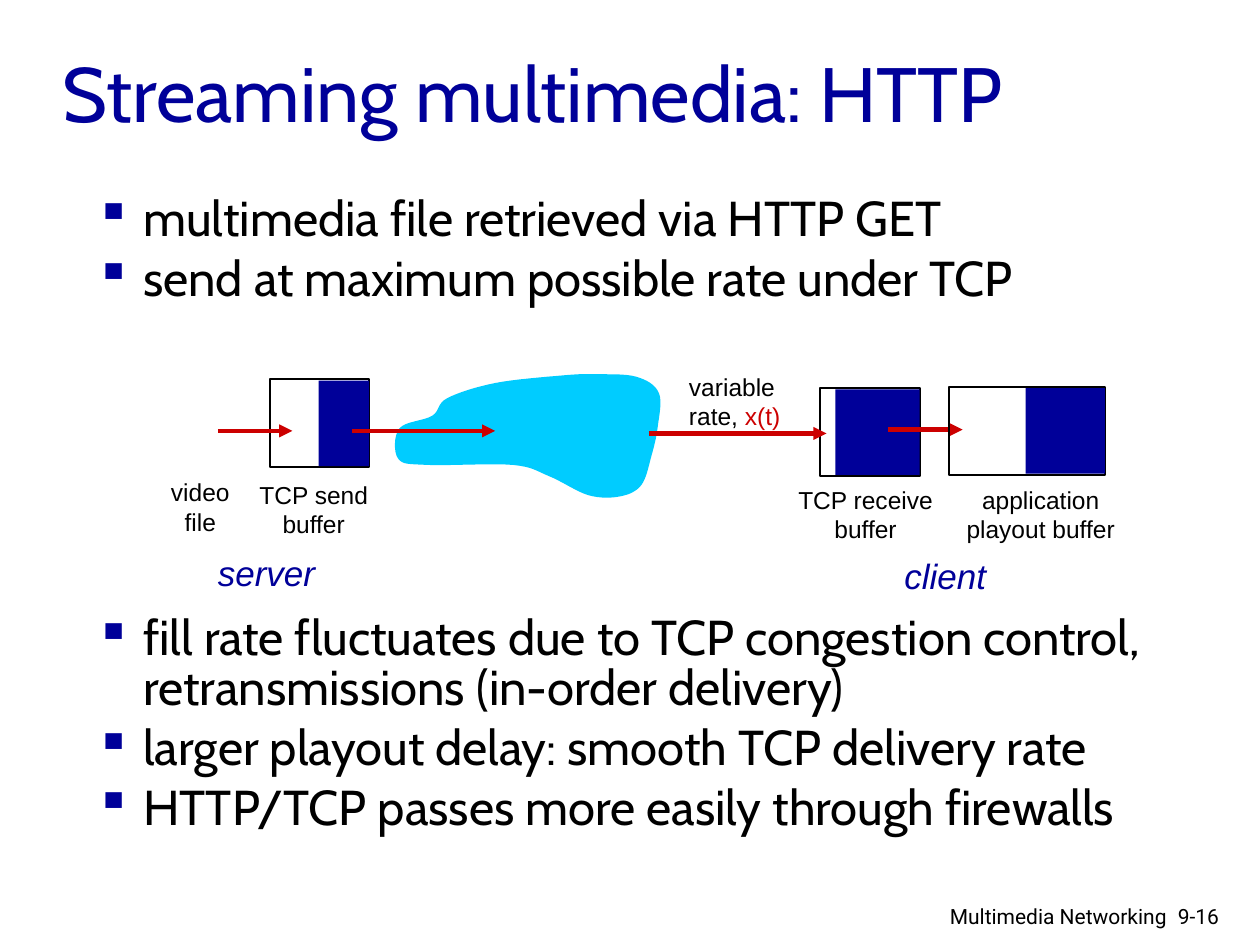
"""Build a slide on streaming multimedia over HTTP."""
from lxml.etree import SubElement as Sub
from pptx import Presentation
from pptx.dml.color import RGBColor
from pptx.enum.shapes import MSO_CONNECTOR as Conn, MSO_SHAPE as Shape
from pptx.enum.text import MSO_ANCHOR as Anchor, PP_ALIGN as Align
from pptx.oxml.ns import qn
from pptx.util import Inches, Pt

NAVY = RGBColor(0x00, 0x00, 0x99)
RED = RGBColor(0xCC, 0x00, 0x00)
SKY = RGBColor(0x00, 0xCC, 0xFF)
BLACK = RGBColor(0x00, 0x00, 0x00)

TITLE = {"name": "Cabin", "size": Pt(44)}
BODY = {"name": "Cabin", "size": Pt(28)}
LABEL = {"name": "Arial", "size": Pt(14)}
ROLE = {"name": "Arial", "size": Pt(20), "italic": True}
FOOT = {"name": "Roboto", "size": Pt(12)}

TOP = ["multimedia file retrieved via HTTP GET",
       "send at maximum possible rate under TCP"]
LOW = ["fill rate fluctuates due to TCP congestion control, "
       "retransmissions (in-order delivery)",
       "larger playout delay: smooth TCP delivery rate",
       "HTTP/TCP passes more easily through firewalls"]
NOTES = [(["video", "file"], 0.94, 3.74, 1.3),
         (["TCP send buffer"], 1.84, 3.76, 1.3),
         (["TCP receive buffer"], 6.22, 3.8, 1.3),
         (["application playout buffer"], 7.49, 3.8, 1.54)]
FLOWS = [(1.73, 2.32, 3.42), (2.79, 3.93, 3.42),
         (5.15, 6.56, 3.44), (7.05, 7.64, 3.41)]
CLOUD = [(4.46, 2.98), (3.93, 3.04), (3.55, 3.16), (3.43, 3.3), (3.17, 3.4),
         (3.16, 3.64), (3.39, 3.69), (4.07, 3.69), (4.36, 3.78),
         (4.67, 3.93), (4.92, 3.94), (5.09, 3.85), (5.17, 3.62),
         (5.22, 3.39), (5.23, 3.12), (5.05, 2.99), (4.72, 2.97)]


def add_run(para, text, form, color):
    """Add a run with the given font values."""
    run = para.add_run()
    run.text = text
    for key, val in form.items():
        setattr(run.font, key, val)
    run.font.color.rgb = color


def add_text(slide, lines, at, form, color=BLACK, align=Align.LEFT, wrap=True):
    """Add a text box with one paragraph per line and return its frame."""
    frame = slide.shapes.add_textbox(*map(Inches, at)).text_frame
    frame.word_wrap = wrap
    for num, line in enumerate(lines):
        para = frame.add_paragraph() if num else frame.paragraphs[0]
        para.alignment = align
        add_run(para, line, form, color)
    return frame


def add_list(slide, lines, at):
    """Add a list with square navy bullets."""
    frame = add_text(slide, lines, at, BODY)
    for num, para in enumerate(frame.paragraphs):
        para.line_spacing = 0.85
        para.space_before = Pt(5.6 if num else 0)
        props = para._p.get_or_add_pPr()
        props.set("marL", str(Inches(0.38)))
        props.set("indent", str(Inches(-0.38)))
        tint = Sub(props, qn("a:buClr"))
        Sub(tint, qn("a:srgbClr"), val=str(NAVY))
        Sub(props, qn("a:buChar"), char="▪")


def add_rect(slide, *at):
    """Add a plain rectangle without shadow."""
    rect = slide.shapes.add_shape(Shape.RECTANGLE, *map(Inches, at))
    rect.shadow.inherit = False
    return rect


def add_buffer(slide, left, top, width, fill):
    """Add a framed buffer whose right part is filled."""
    frame = add_rect(slide, left, top, width, 0.7)
    frame.fill.background()
    frame.line.color.rgb = BLACK
    frame.line.width = Pt(1.25)
    data = add_rect(slide, left + width - fill, top + 0.01, fill, 0.68)
    data.fill.solid()
    data.fill.fore_color.rgb = NAVY
    data.line.fill.background()


def add_flow(slide, start, end, y):
    """Add a level red arrow."""
    flow = slide.shapes.add_connector(
        Conn.STRAIGHT, *map(Inches, (start, y, end, y)))
    flow.line.color.rgb = RED
    flow.line.width = Pt(2.5)
    Sub(flow.line._get_or_add_ln(), qn("a:tailEnd"), type="triangle")
    Sub(flow._element.spPr, qn("a:effectLst"))


def trace(knots, steps=8):
    """Return points on a closed smooth curve through the knots."""
    points = []
    for num in range(len(knots)):
        quad = [knots[(num + off) % len(knots)] for off in (-1, 0, 1, 2)]
        for step in range(steps):
            t = step / steps
            points.append(tuple(
                Inches(b + t * (c - a) / 2
                       + t * t * (2 * a - 5 * b + 4 * c - d) / 2
                       + t ** 3 * (3 * b - a - 3 * c + d) / 2)
                for a, b, c, d in zip(*quad)))
    return points


def add_cloud(slide):
    """Add the network cloud."""
    points = trace(CLOUD)
    build = slide.shapes.build_freeform(*points[0])
    build.add_line_segments(points[1:], close=True)
    cloud = build.convert_to_shape()
    cloud.shadow.inherit = False
    cloud.fill.solid()
    cloud.fill.fore_color.rgb = SKY
    cloud.line.fill.background()


def main():
    """Build and save the slide."""
    deck = Presentation()
    deck.slide_width, deck.slide_height = Inches(10), Inches(7.5)
    slide = deck.slides.add_slide(deck.slide_layouts[6])

    title = add_text(slide, ["Streaming multimedia: HTTP"],
                     (0.4, 0.25, 8.94, 0.95), TITLE, NAVY)
    title.vertical_anchor = Anchor.MIDDLE
    add_list(slide, TOP, (0.66, 1.51, 8.5, 1.1))
    add_list(slide, LOW, (0.66, 4.84, 8.5, 2.2))

    add_buffer(slide, 2.14, 3.01, 0.79, 0.4)
    add_buffer(slide, 6.51, 3.08, 0.79, 0.67)
    add_cloud(slide)
    for flow in FLOWS:
        add_flow(slide, *flow)
    add_buffer(slide, 7.53, 3.07, 1.24, 0.63)

    rate = add_text(slide, ["variable rate, "], (5.37, 2.9, 1.07, 0.58), LABEL)
    add_run(rate.paragraphs[0], "x(t)", LABEL, RED)
    for lines, left, top, width in NOTES:
        add_text(slide, lines, (left, top, width, 0.57), LABEL,
                 align=Align.CENTER)
    add_text(slide, ["server"], (1.63, 4.33, 1.05, 0.44), ROLE, NAVY,
             wrap=False)
    add_text(slide, ["client"], (7.08, 4.35, 0.93, 0.44), ROLE, NAVY,
             wrap=False)
    add_text(slide, ["9-16"], (9.25, 7.12, 0.75, 0.3), FOOT)
    add_text(slide, ["Multimedia Networking"], (7.2, 7.12, 2.16, 0.28), FOOT,
             align=Align.RIGHT)
    deck.save("out.pptx")


if __name__ == "__main__":
    main()
